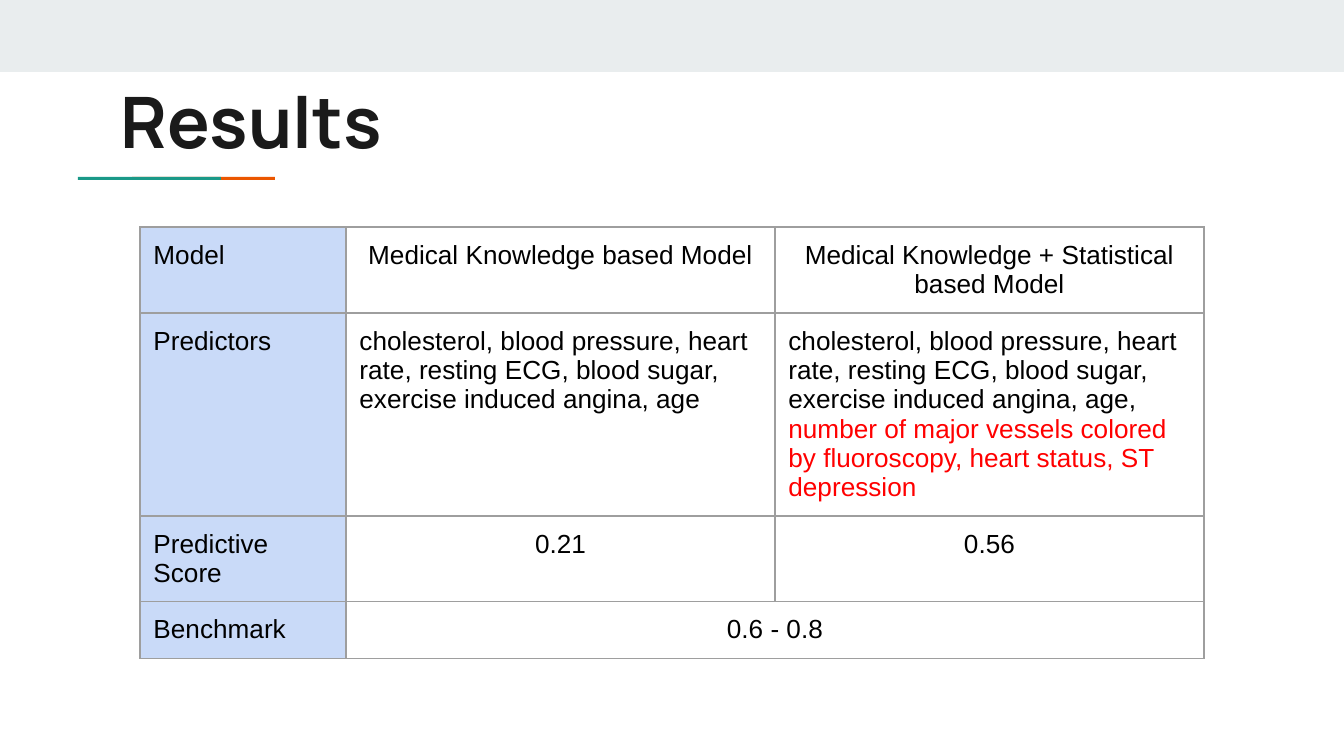
from lxml import etree
from pptx import Presentation
from pptx.dml.color import RGBColor
from pptx.enum.shapes import MSO_SHAPE
from pptx.enum.text import MSO_ANCHOR, MSO_AUTO_SIZE, PP_ALIGN
from pptx.oxml.ns import qn
from pptx.util import Emu, Pt

RECTANGLE = MSO_SHAPE.RECTANGLE
LEFT, CENTER = PP_ALIGN.LEFT, PP_ALIGN.CENTER
TOP, MIDDLE = MSO_ANCHOR.TOP, MSO_ANCHOR.MIDDLE
NO_AUTOFIT = MSO_AUTO_SIZE.NONE

EMU_PER_PX = 914400 / 134.4
INSET = Pt(7.2)
COLORS = {
    "band": "E9EDEE",
    "teal": "1A9988",
    "orange": "EB5600",
    "title": "1A1A1A",
    "text": "000000",
    "added": "FF0000",
    "label": "C9DAF8",
    "border": "9E9E9E",
}

COLUMN_WIDTHS = [206, 429, 429]
ROW_HEIGHTS = [86, 203, 85, 57]
PREDICTORS = ("cholesterol, blood pressure, heart rate, resting ECG, "
              "blood sugar, exercise induced angina, age")
ADDED_PREDICTORS = ("number of major vessels colored by fluoroscopy, "
                    "heart status, ST depression")
ROWS = [
    ("Model", CENTER, [
        [("Medical Knowledge based Model", "text")],
        [("Medical Knowledge + Statistical based Model", "text")],
    ]),
    ("Predictors", LEFT, [
        [(PREDICTORS, "text")],
        [(PREDICTORS + ", ", "text"), (ADDED_PREDICTORS, "added")],
    ]),
    ("Predictive Score", CENTER, [[("0.21", "text")], [("0.56", "text")]]),
    ("Benchmark", CENTER, [[("0.6 - 0.8", "text")]]),
]


def px(value):
    return Emu(round(value * EMU_PER_PX))


def color(name):
    return RGBColor.from_string(COLORS[name])


def set_insets(target):
    target.margin_left = target.margin_right = INSET
    target.margin_top = target.margin_bottom = INSET


def add_span(para, text, font_name, size, color_name, bold=False):
    span = para.add_run()
    span.text = text
    span.font.name = font_name
    span.font.size = Pt(size)
    span.font.bold = bold
    span.font.color.rgb = color(color_name)


def add_bar(page, left, top, width, height, color_name):
    bar = page.shapes.add_shape(RECTANGLE, px(left), px(top), px(width), px(height))
    bar.shadow.inherit = False
    bar.fill.solid()
    bar.fill.fore_color.rgb = color(color_name)
    bar.line.fill.background()


def set_title(page, text):
    title = page.shapes.title
    title.left, title.top = px(107), px(65)
    title.width, title.height = px(1130), px(110)
    frame = title.text_frame
    frame.auto_size = NO_AUTOFIT
    frame.word_wrap = True
    frame.vertical_anchor = MIDDLE
    set_insets(frame)
    para = frame.paragraphs[0]
    para.alignment = LEFT
    add_span(para, text, "Manrope", 38, "title", bold=True)


def set_borders(cell):
    properties = cell._tc.get_or_add_tcPr()
    for index, side in enumerate(("a:lnL", "a:lnR", "a:lnT", "a:lnB")):
        line = etree.Element(qn(side), w=str(Pt(0.75)))
        fill = etree.SubElement(line, qn("a:solidFill"))
        etree.SubElement(fill, qn("a:srgbClr"), val=COLORS["border"])
        properties.insert(index, line)


def fill_cell(cell, spans, alignment):
    set_insets(cell)
    cell.vertical_anchor = TOP
    para = cell.text_frame.paragraphs[0]
    para.alignment = alignment
    for text, color_name in spans:
        add_span(para, text, "Arial", 14, color_name)


def add_results_table(page):
    frame = page.shapes.add_table(
        len(ROW_HEIGHTS), len(COLUMN_WIDTHS), px(140), px(227),
        px(sum(COLUMN_WIDTHS)), px(sum(ROW_HEIGHTS)))
    table = frame.table
    table.first_row = table.horz_banding = False
    for column, width in zip(table.columns, COLUMN_WIDTHS):
        column.width = px(width)
    for row, height in zip(table.rows, ROW_HEIGHTS):
        row.height = px(height)
    for cell in table.iter_cells():
        cell.fill.background()
        set_borders(cell)
    table.cell(3, 1).merge(table.cell(3, 2))
    for index, (label, alignment, values) in enumerate(ROWS):
        label_cell = table.cell(index, 0)
        label_cell.fill.solid()
        label_cell.fill.fore_color.rgb = color("label")
        fill_cell(label_cell, [(label, "text")], LEFT)
        for column, spans in enumerate(values, start=1):
            fill_cell(table.cell(index, column), spans, alignment)


def main():
    deck = Presentation()
    deck.slide_width, deck.slide_height = px(1344), px(756)
    page = deck.slides.add_slide(deck.slide_layouts[5])
    add_bar(page, 0, 0, 1344, 72, "band")
    add_bar(page, 132, 177, 143, 3, "orange")
    add_bar(page, 78, 177, 143, 3, "teal")
    set_title(page, "Results")
    add_results_table(page)
    deck.save("out.pptx")


if __name__ == "__main__":
    main()
